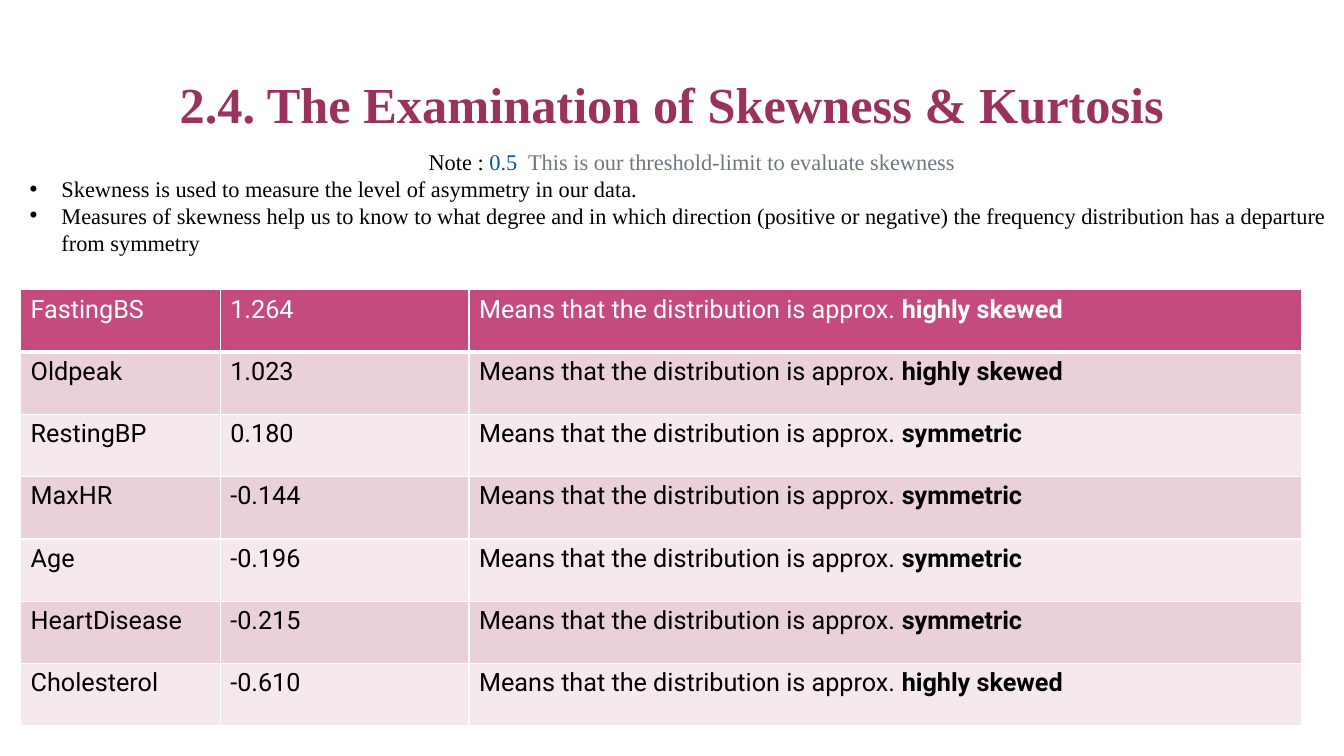
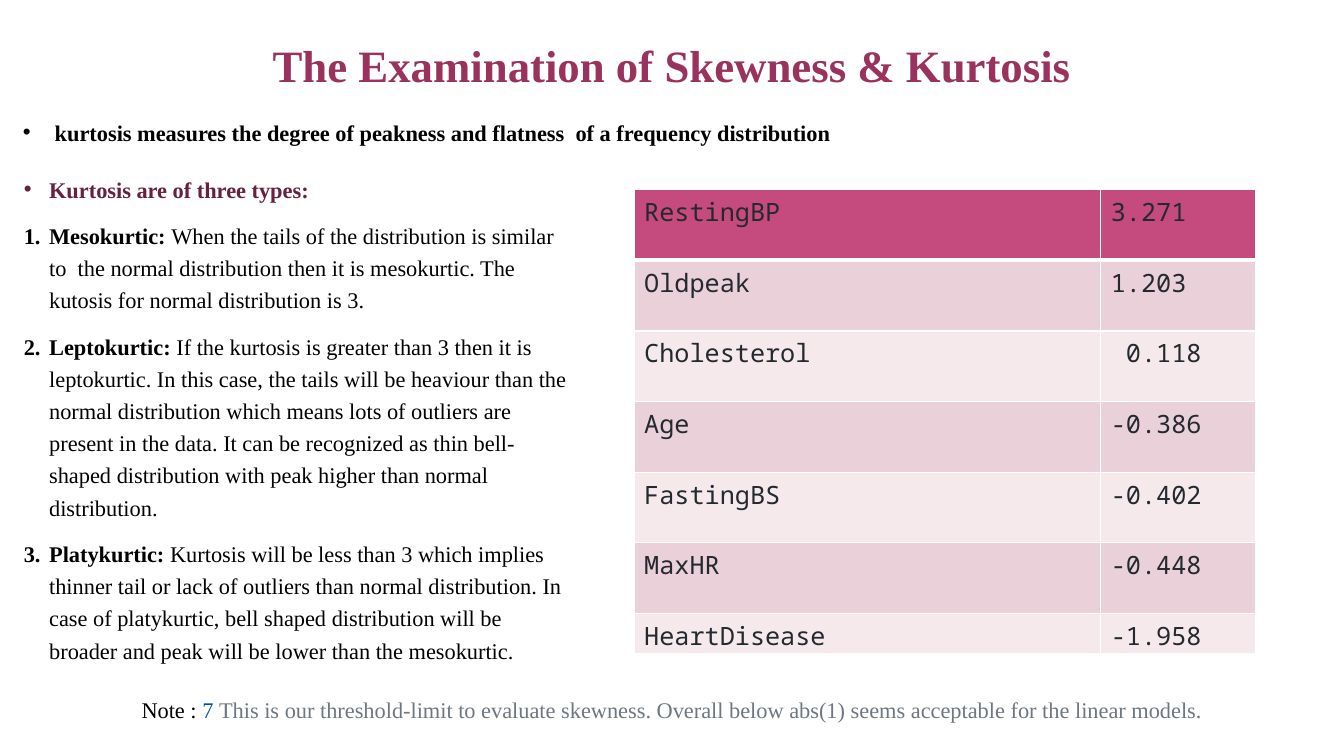
from lxml import etree
from pptx import Presentation
from pptx.dml.color import RGBColor as RGB
from pptx.enum.text import PP_ALIGN as Align
from pptx.oxml.ns import qn
from pptx.util import Cm, Pt

WIDTH, HEIGHT = 33.87, 19.05
SERIF, SANS, MONO = "Times New Roman", "Roboto", "Noto Sans Mono"

WHITE = RGB(0xFF, 0xFF, 0xFF)
BLACK = RGB(0x00, 0x00, 0x00)
PLUM = RGB(0x9A, 0x32, 0x5E)
DARK_PLUM = RGB(0x67, 0x21, 0x3F)
BLUE = RGB(0x05, 0x50, 0xAE)
GREY = RGB(0x6E, 0x77, 0x81)
INK = RGB(0x24, 0x29, 0x2F)
HEADER = RGB(0xC5, 0x4B, 0x7F)
BANDS = (RGB(0xF5, 0xE9, 0xEC), RGB(0xEA, 0xD0, 0xD8))

SKEWNESS = [
    ("FastingBS", "1.264", "highly skewed"),
    ("Oldpeak", "1.023", "highly skewed"),
    ("RestingBP", "0.180", "symmetric"),
    ("MaxHR", "-0.144", "symmetric"),
    ("Age", "-0.196", "symmetric"),
    ("HeartDisease", "-0.215", "symmetric"),
    ("Cholesterol", "-0.610", "highly skewed"),
]

KURTOSIS = [
    ("RestingBP", "3.271"),
    ("Oldpeak", "1.203"),
    ("Cholesterol", " 0.118"),
    ("Age", "-0.386"),
    ("FastingBS", "-0.402"),
    ("MaxHR", "-0.448"),
    ("HeartDisease", "-1.958"),
]

KURTOSIS_TYPES = [
    ("Mesokurtic: ",
     "When the tails of the distribution is similar to  the normal distribution "
     "then it is mesokurtic. The kutosis for normal distribution is 3."),
    ("Leptokurtic: ",
     "If the kurtosis is greater than 3 then it is leptokurtic. In this case, the "
     "tails will be heaviour than the normal distribution which means lots of "
     "outliers are present in the data. It can be recognized as thin bell-shaped "
     "distribution with peak higher than normal distribution."),
    ("Platykurtic: ",
     "Kurtosis will be less than 3 which implies thinner tail or lack of outliers "
     "than normal distribution. In case of platykurtic, bell shaped distribution "
     "will be broader and peak will be lower than the mesokurtic."),
]


class Deck:
    def __init__(self):
        self.prs = Presentation()
        self.prs.slide_width, self.prs.slide_height = Cm(WIDTH), Cm(HEIGHT)
        self.s = None

    def new_slide(self):
        self.s = self.prs.slides.add_slide(self.prs.slide_layouts[6])

    def textbox(self, left, top, width, height):
        tf = self.s.shapes.add_textbox(Cm(left), Cm(top), Cm(width), Cm(height)).text_frame
        tf.word_wrap = True
        return tf

    def runs(self, p, parts, size=16, font=SERIF):
        """Add (text, colour, bold) parts to a paragraph."""
        for text, colour, bold in parts:
            r = p.add_run()
            r.text = text
            r.font.size, r.font.name, r.font.bold = Pt(size), font, bold
            r.font.color.rgb = colour

    def paragraph(self, tf, parts, indent=0.8, numbered=False, spacing=None, before=0):
        """Add a bulleted or numbered paragraph with a hanging indent."""
        first = not tf.paragraphs[0].runs
        p = tf.paragraphs[0] if first else tf.add_paragraph()
        pPr = p._p.get_or_add_pPr()
        pPr.set("marL", str(Cm(indent)))
        pPr.set("indent", str(-Cm(indent)))
        if numbered:
            etree.SubElement(pPr, qn("a:buFont"), typeface="+mj-lt")
            etree.SubElement(pPr, qn("a:buAutoNum"), type="arabicPeriod")
        else:
            etree.SubElement(pPr, qn("a:buFont"), typeface="Arial")
            etree.SubElement(pPr, qn("a:buChar"), char="•")
        if spacing:
            p.line_spacing = spacing
        if before and not first:
            p.space_before = Pt(before)
        self.runs(p, parts)

    def title(self, text, top, size):
        p = self.textbox(0, top, WIDTH, 2.2).paragraphs[0]
        p.alignment, p.line_spacing = Align.CENTER, 0.9
        self.runs(p, [(text, PLUM, True)], size)

    def note(self, tf, threshold, text):
        p = tf.paragraphs[0]
        p.alignment = Align.CENTER
        self.runs(p, [("Note : ", BLACK, False), (threshold, BLUE, False), (text, GREY, False)])

    def borders(self, cell, row):
        """Draw white cell edges, thicker just below the header row."""
        widths = {"L": 1, "R": 1, "T": 3 if row == 1 else 1, "B": 3 if row == 0 else 1}
        tcPr = cell._tc.get_or_add_tcPr()
        for i, (side, width) in enumerate(widths.items()):
            ln = etree.Element(qn("a:ln" + side), w=str(Pt(width)))
            fill = etree.SubElement(ln, qn("a:solidFill"))
            etree.SubElement(fill, qn("a:srgbClr"), val=str(WHITE))
            tcPr.insert(i, ln)

    def table(self, left, top, col_widths, row_heights, rows, font):
        """Draw a banded table from rows of cells, each a list of run parts."""
        table = self.s.shapes.add_table(
            len(rows), len(col_widths), Cm(left), Cm(top),
            Cm(sum(col_widths)), Cm(sum(row_heights))).table
        table.first_row = table.horz_banding = False
        for column, width in zip(table.columns, col_widths):
            column.width = Cm(width)
        for i, (row, height) in enumerate(zip(rows, row_heights)):
            table.rows[i].height = Cm(height)
            for j, parts in enumerate(row):
                cell = table.cell(i, j)
                cell.fill.solid()
                cell.fill.fore_color.rgb = BANDS[i % 2] if i else HEADER
                self.borders(cell, i)
                self.runs(cell.text_frame.paragraphs[0], parts, 18, font)


def skewness_slide(deck):
    deck.new_slide()
    deck.title("2.4. The Examination of Skewness & Kurtosis", 1.9, 36)
    rows = []
    for i, (name, value, verdict) in enumerate(SKEWNESS):
        colour = BLACK if i else WHITE
        rows.append([
            [(name, colour, False)],
            [(value, colour, False)],
            [("Means that the distribution is approx. ", colour, False), (verdict, colour, True)],
        ])
    deck.table(0.52, 7.3, (5.03, 6.27, 20.98), [1.57] * len(rows), rows, SANS)

    tf = deck.textbox(0.5, 3.61, WIDTH, 3.68)
    deck.note(tf, "0.5 ", " This is our threshold-limit to evaluate skewness")
    for text in (
        "Skewness is used to measure the level of asymmetry in our data.",
        "Measures of skewness help us to know to what degree and in which direction "
        "(positive or negative) the frequency distribution has a departure from symmetry",
    ):
        deck.paragraph(tf, [(text, BLACK, False)])


def kurtosis_slide(deck):
    deck.new_slide()
    deck.title("The Examination of Skewness & Kurtosis", 0.97, 32)

    tf = deck.textbox(0.35, 4.17, 14.35, 13)
    style = dict(indent=0.64, spacing=1.2, before=10)
    deck.paragraph(tf, [("Kurtosis are of three types:", DARK_PLUM, True)], **style)
    for name, text in KURTOSIS_TYPES:
        deck.paragraph(tf, [(name, BLACK, True), (text, BLACK, False)], numbered=True, **style)

    rows = [[[(text, INK, False)] for text in row] for row in KURTOSIS]
    deck.table(15.98, 4.78, (11.76, 3.9), [1.78] * 6 + [1], rows, MONO)

    deck.note(deck.textbox(0, 17.42, WIDTH, 1.63), "7 ",
              "This is our threshold-limit to evaluate skewness. "
              "Overall below abs(1) seems acceptable for the linear models.")
    deck.paragraph(
        deck.textbox(0.33, 2.87, 28.78, 1.2),
        [("kurtosis measures the degree of peakness and flatness  of a frequency distribution",
          BLACK, True)])


def main():
    deck = Deck()
    skewness_slide(deck)
    kurtosis_slide(deck)
    deck.prs.save("out.pptx")


if __name__ == "__main__":
    main()
